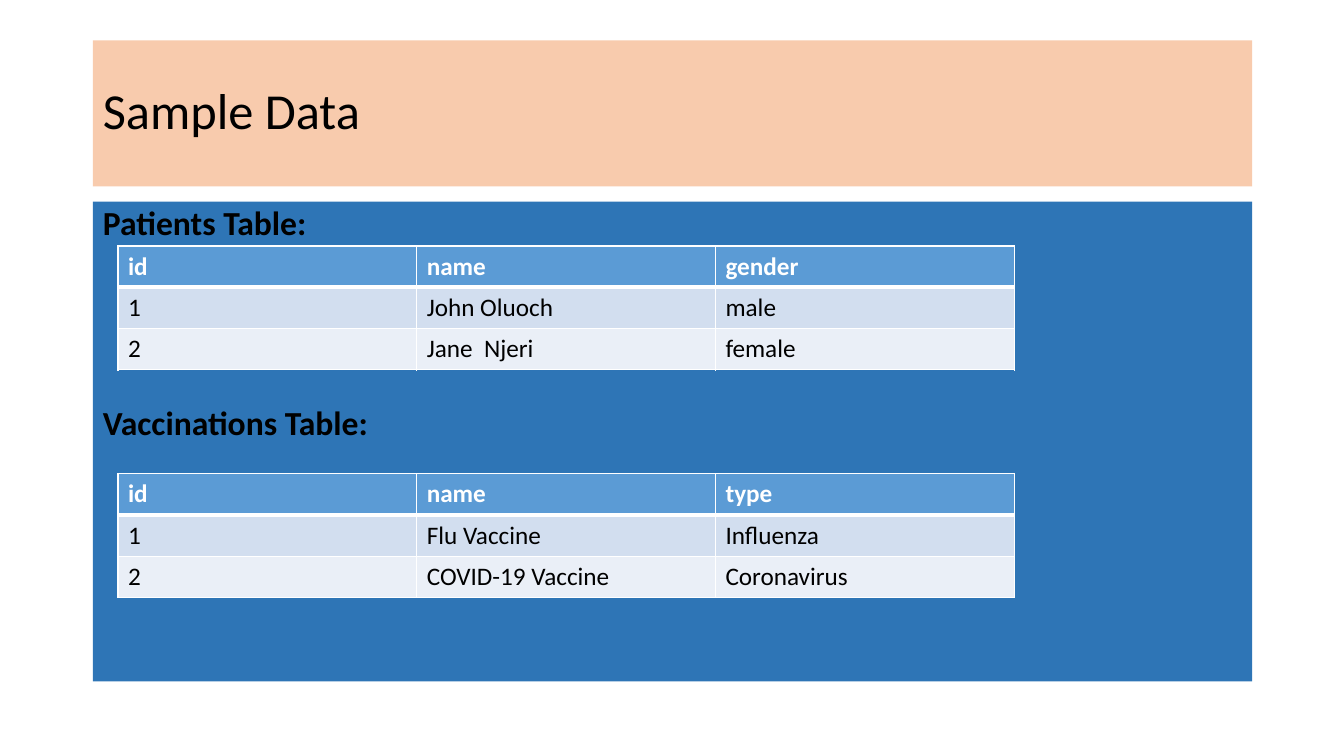
from lxml.etree import SubElement
from pptx import Presentation
from pptx.dml.color import RGBColor
from pptx.enum.text import MSO_ANCHOR, MSO_AUTO_SIZE, PP_ALIGN
from pptx.oxml.ns import qn
from pptx.util import Inches, Pt

TITLE = "Sample Data"
TABLES = [
    {"heading": "Patients Table:", "top": 2.44, "space_before": 10,
     "rows": [("id", "name", "gender"),
              ("1", "John Oluoch", "male"),
              ("2", "Jane  Njeri", "female")]},
    {"heading": "Vaccinations Table:", "top": 4.7, "space_before": 117,
     "rows": [("id", "name", "type"),
              ("1", "Flu Vaccine", "Influenza"),
              ("2", "COVID-19 Vaccine", "Coronavirus")]},
]
THEME = {
    "font": "Calibri", "title_size": 36, "heading_size": 24, "cell_size": 18,
    "title_fill": "F8CBAD", "body_fill": "2E75B6", "text": "000000",
    "header_fill": "5B9BD5", "header_text": "FFFFFF", "border": "FFFFFF",
    "bands": ("D2DEEF", "EAEFF7"), "thin": 1, "thick": 3,
}
TITLE_BOX = (0.92, 0.4, 11.5, 1.45)
BODY_BOX = (0.92, 2, 11.5, 4.76)
TABLE_LEFT, TABLE_WIDTH, ROW_HEIGHT = 1.17, 8.89, 0.41


def set_all(target, values):
    """Set every attribute named in values."""
    for name, value in values.items():
        setattr(target, name, value)


def paint(owner, color):
    """Give a shape or cell a solid fill."""
    owner.fill.solid()
    owner.fill.fore_color.rgb = RGBColor.from_string(color)


def write(paragraph, text, size, color, bold=False, **layout):
    """Add one formatted run and lay out its paragraph."""
    run = paragraph.add_run()
    run.text = text
    set_all(run.font, {"name": THEME["font"], "size": Pt(size), "bold": bold})
    run.font.color.rgb = RGBColor.from_string(color)
    set_all(paragraph, {"alignment": PP_ALIGN.LEFT, **layout})


def place(panel, box, color, anchor):
    """Move a placeholder, fill it and return its text frame."""
    set_all(panel, dict(zip(("left", "top", "width", "height"), map(Inches, box))))
    paint(panel, color)
    set_all(panel.text_frame, {"word_wrap": True, "auto_size": MSO_AUTO_SIZE.NONE,
                               "vertical_anchor": anchor})
    return panel.text_frame


def add_borders(cell, row_index):
    """Draw thin cell borders with a thick rule below the header."""
    thick_side = {0: "lnB", 1: "lnT"}.get(row_index)
    for side in ("lnL", "lnR", "lnT", "lnB"):
        weight = THEME["thick" if side == thick_side else "thin"]
        border = SubElement(cell._tc.get_or_add_tcPr(), qn(f"a:{side}"), w=str(Pt(weight)))
        SubElement(SubElement(border, qn("a:solidFill")), qn("a:srgbClr"), val=THEME["border"])


def add_data_table(slide, top, rows):
    """Add a table with a header and banded rows."""
    table = slide.shapes.add_table(
        len(rows), len(rows[0]), Inches(TABLE_LEFT), Inches(top),
        Inches(TABLE_WIDTH), Inches(ROW_HEIGHT * len(rows))).table
    for row_index, row in enumerate(rows):
        header = row_index == 0
        fill = THEME["header_fill"] if header else THEME["bands"][(row_index - 1) % 2]
        color = THEME["header_text" if header else "text"]
        for column_index, value in enumerate(row):
            cell = table.cell(row_index, column_index)
            add_borders(cell, row_index)
            paint(cell, fill)
            write(cell.text_frame.paragraphs[0], value, THEME["cell_size"], color, header)


def main():
    """Build and save the slide."""
    deck = Presentation()
    set_all(deck, {"slide_width": Inches(13.33), "slide_height": Inches(7.5)})
    slide = deck.slides.add_slide(deck.slide_layouts[1])
    title, body = slide.placeholders
    title_text = place(title, TITLE_BOX, THEME["title_fill"], MSO_ANCHOR.MIDDLE)
    write(title_text.paragraphs[0], TITLE, THEME["title_size"], THEME["text"], line_spacing=0.9)
    body_text = place(body, BODY_BOX, THEME["body_fill"], MSO_ANCHOR.TOP)
    for index, section in enumerate(TABLES):
        heading = body_text.add_paragraph() if index else body_text.paragraphs[0]
        write(heading, section["heading"], THEME["heading_size"], THEME["text"], True,
              line_spacing=0.9, space_before=Pt(section["space_before"]))
        properties = heading._p.get_or_add_pPr()
        properties.attrib.update({"marL": "0", "indent": "0"})
        SubElement(properties, qn("a:buNone"))
        add_data_table(slide, section["top"], section["rows"])
    deck.save("out.pptx")


if __name__ == "__main__":
    main()
